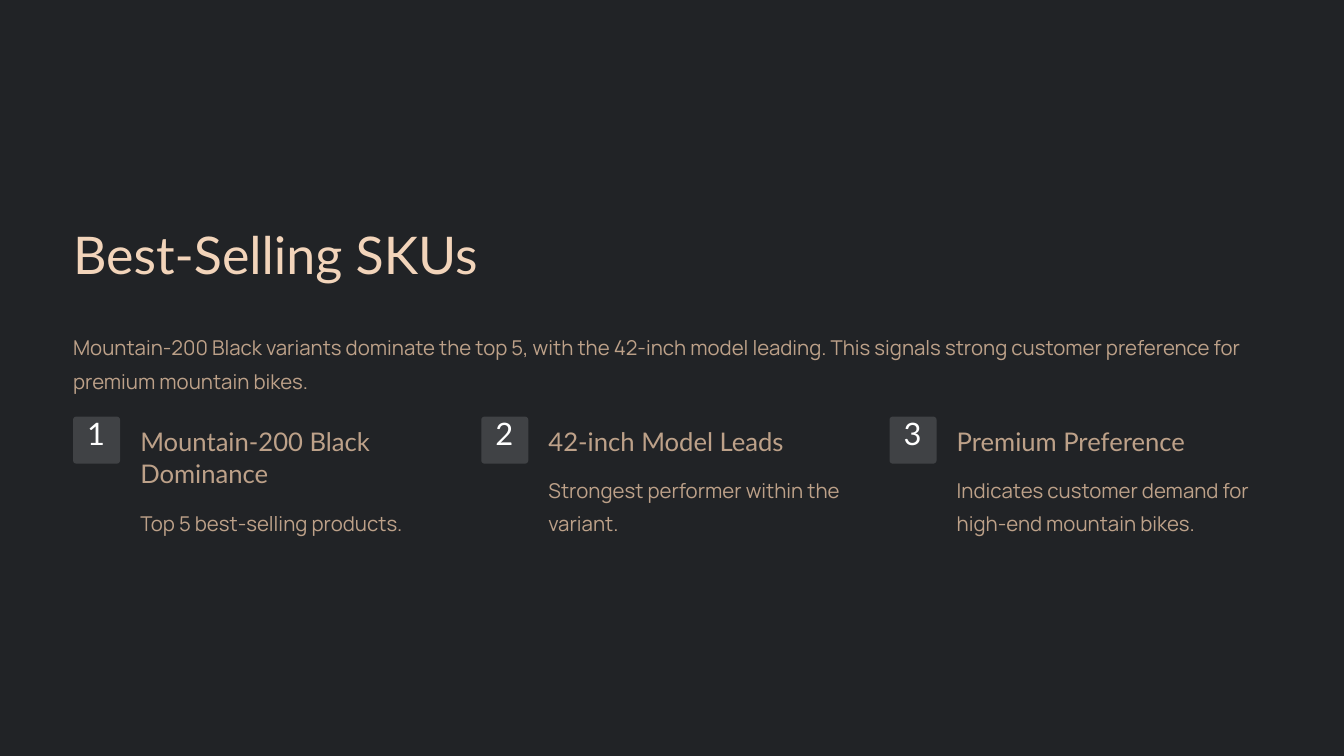
from pptx import Presentation
from pptx.dml.color import RGBColor
from pptx.enum.shapes import MSO_SHAPE
from pptx.enum.text import MSO_ANCHOR, PP_ALIGN
from pptx.util import Inches, Pt

ROUNDED = MSO_SHAPE.ROUNDED_RECTANGLE
TOP = MSO_ANCHOR.TOP
LEFT, CENTER = PP_ALIGN.LEFT, PP_ALIGN.CENTER

WIDTH, HEIGHT = 16, 9
MARGIN = 0.87
CONTENT_WIDTH = WIDTH - 2 * MARGIN
GUTTER = 0.32
COLUMN_WIDTH = (CONTENT_WIDTH - 2 * GUTTER) / 3
BADGE_SIZE = 0.56
BADGE_TOP = 4.96
TEXT_INDENT = 0.8
HEADING_TOP = 5.05
HEADING_LINE = 0.39
HEADING_GAP = 0.15

BACKGROUND, BADGE = "212326", "404245"
TITLE, BODY, WHITE = "F2D4BA", "BDA189", "FFFFFF"

TITLE_STYLE = ("Lato", 44.5, 55.5, TITLE)
BODY_STYLE = ("Manrope", 17.5, 28.5, BODY)
NUMBER_STYLE = ("Lato", 26.5, 26.5, WHITE)
HEADING_STYLE = ("Lato", 22, 27.5, BODY)

POINTS = [
    ("Mountain-200 Black Dominance", 2, "Top 5 best-selling products."),
    ("42-inch Model Leads", 1, "Strongest performer within the variant."),
    ("Premium Preference", 1,
     "Indicates customer demand for high-end mountain bikes."),
]


def color(value):
    return RGBColor.from_string(value)


def add_text(slide, text, left, top, width, height, style, align=LEFT):
    font_name, size, line_height, text_color = style
    box = slide.shapes.add_textbox(
        Inches(left), Inches(top), Inches(width), Inches(height))
    frame = box.text_frame
    frame.margin_left = frame.margin_right = 0
    frame.margin_top = frame.margin_bottom = 0
    frame.word_wrap = True
    frame.vertical_anchor = TOP
    frame.text = text
    paragraph = frame.paragraphs[0]
    paragraph.alignment = align
    paragraph.line_spacing = Pt(line_height)
    font = paragraph.runs[0].font
    font.name = font_name
    font.size = Pt(size)
    font.color.rgb = color(text_color)


def add_badge(slide, number, left):
    shape = slide.shapes.add_shape(
        ROUNDED, Inches(left), Inches(BADGE_TOP),
        Inches(BADGE_SIZE), Inches(BADGE_SIZE))
    shape.adjustments[0] = 0.067
    shape.shadow.inherit = False
    shape.fill.solid()
    shape.fill.fore_color.rgb = color(BADGE)
    shape.line.fill.background()
    add_text(slide, str(number), left + 0.09, BADGE_TOP + 0.05,
             0.37, 0.47, NUMBER_STYLE, CENTER)


def add_point(slide, index, heading, heading_lines, detail):
    left = MARGIN + index * (COLUMN_WIDTH + GUTTER)
    text_left = left + TEXT_INDENT
    text_width = COLUMN_WIDTH - TEXT_INDENT
    heading_height = heading_lines * HEADING_LINE
    add_badge(slide, index + 1, left)
    add_text(slide, heading, text_left, HEADING_TOP,
             text_width, heading_height, HEADING_STYLE)
    add_text(slide, detail, text_left,
             HEADING_TOP + heading_height + HEADING_GAP,
             text_width, 0.79, BODY_STYLE)


def main():
    presentation = Presentation()
    presentation.slide_width = Inches(WIDTH)
    presentation.slide_height = Inches(HEIGHT)
    slide = presentation.slides.add_slide(presentation.slide_layouts[6])
    slide.background.fill.solid()
    slide.background.fill.fore_color.rgb = color(BACKGROUND)

    add_text(slide, "Best-Selling SKUs", MARGIN, 2.62, 6.2, 0.78, TITLE_STYLE)
    add_text(slide,
             "Mountain-200 Black variants dominate the top 5, with the "
             "42-inch model leading. This signals strong customer preference "
             "for premium mountain bikes.",
             MARGIN, 3.89, CONTENT_WIDTH, 0.79, BODY_STYLE)
    for index, point in enumerate(POINTS):
        add_point(slide, index, *point)

    presentation.save("out.pptx")


if __name__ == "__main__":
    main()
